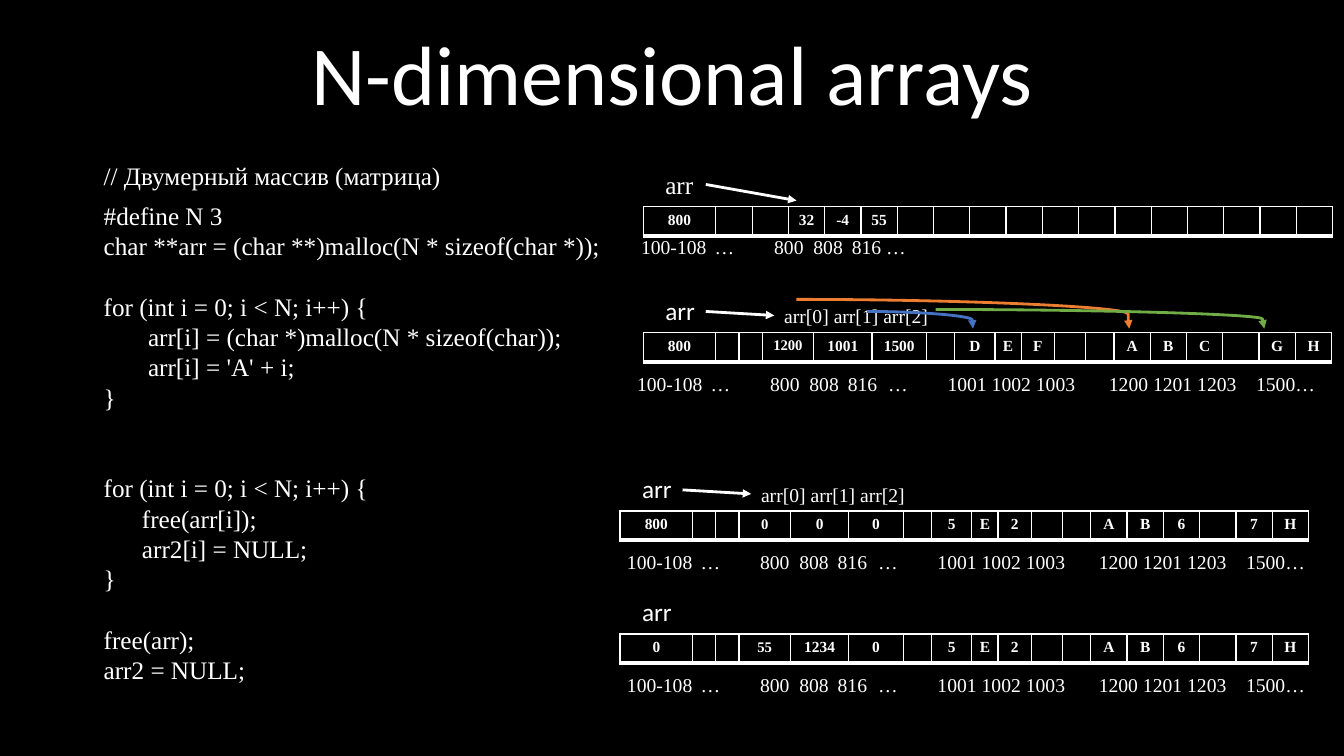
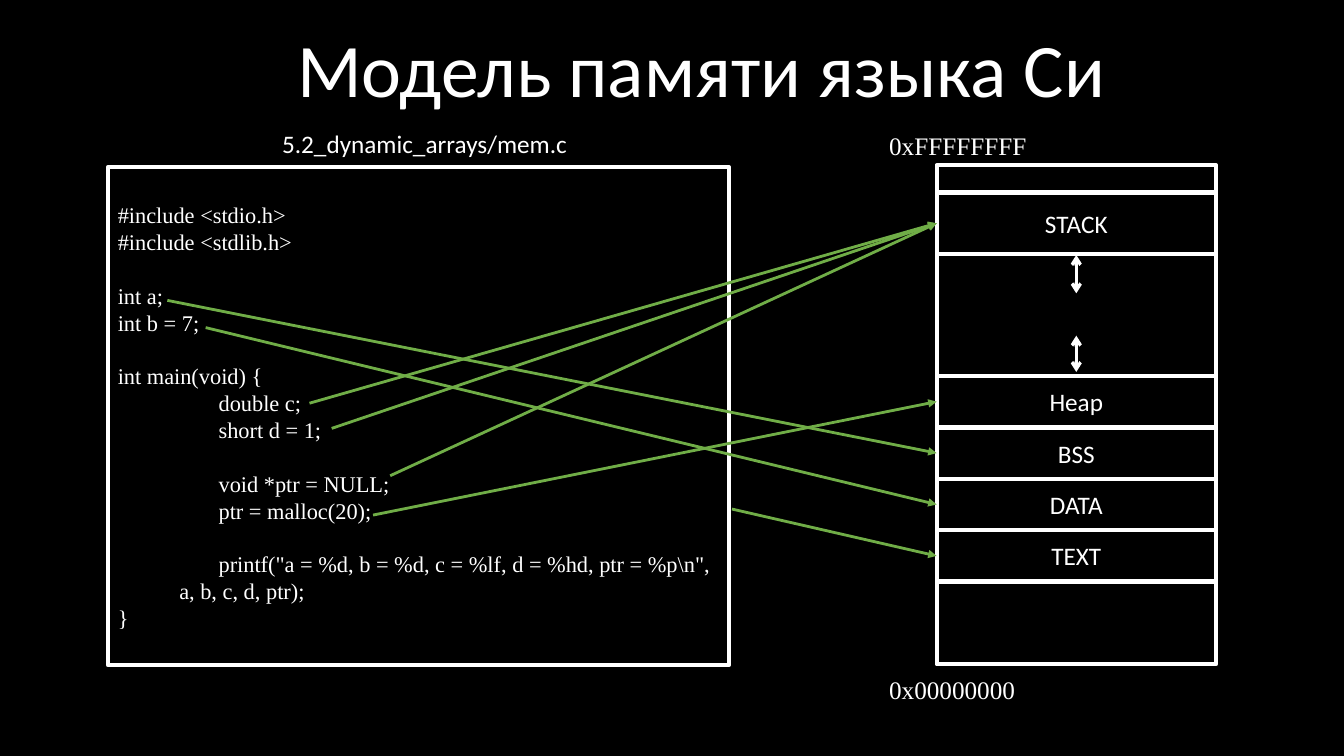
from collections import namedtuple
from dataclasses import dataclass

from lxml.etree import SubElement
from pptx import Presentation
from pptx.dml.color import RGBColor
from pptx.enum.shapes import MSO_CONNECTOR, MSO_SHAPE
from pptx.enum.text import MSO_ANCHOR, MSO_AUTO_SIZE, PP_ALIGN
from pptx.oxml.ns import qn
from pptx.util import Emu, Inches, Pt


@dataclass(frozen=True)
class Theme:
    background: str = "000000"
    ink: str = "FFFFFF"
    orange: str = "ED7D31"
    blue: str = "4472C4"
    green: str = "70AD47"
    sans: str = "Calibri"
    serif: str = "Times New Roman"
    body: float = 18
    code: float = 16
    small: float = 14
    cell: float = 11
    narrow_cell: float = 10.5
    line_height: float = 1.2
    arrow: float = 2
    outline: float = 3


THEME = Theme()
Box = namedtuple("Box", "left top width height")
# gap counts the empty lines left above the line
Line = namedtuple("Line", "text indent gap", defaults=(0, 0))

MATRIX_CODE = [
    Line("#define N 3"),
    Line("char **arr = (char **)malloc(N * sizeof(char *));"),
    Line("for (int i = 0; i < N; i++) {", gap=1),
    Line("arr[i] = (char *)malloc(N * sizeof(char));", 0.44),
    Line("arr[i] = 'A' + i;", 0.44),
    Line("}"),
    Line("for (int i = 0; i < N; i++) {", gap=2),
    Line("free(arr[i]);", 0.38),
    Line("arr2[i] = NULL;", 0.38),
    Line("}"),
    Line("free(arr);", gap=1),
    Line("arr2 = NULL;"),
]
MEMORY_CODE = [
    Line("#include <stdio.h>"),
    Line("#include <stdlib.h>"),
    Line("int a;", gap=1),
    Line("int b = 7;"),
    Line("int main(void) {", gap=1),
    Line("double c;", 1),
    Line("short d = 1;", 1),
    Line("void *ptr = NULL;", 1, 1),
    Line("ptr = malloc(20);", 1),
    Line('printf("a = %d, b = %d, c = %lf, d = %hd, ptr = %p\\n",', 1, 1),
    Line("a, b, c, d, ptr);", 0.61),
    Line("}"),
]

VECTOR_COLUMNS = [0.72] + [0.36] * 17
MATRIX_COLUMNS = [0.72, 0.23, 0.23, 0.51, 0.58, 0.54, 0.28, 0.4, 0.26,
                  0.33, 0.31, 0.28] + [0.36] * 6
ADDRESS_STOPS = [0.73, 1.32, 1.71, 2.09, 2.49, 3.08, 4.68, 6.14]
VECTOR_ADDRESSES = ["100-108", "…", "800", "808", "816 …"]
MATRIX_ADDRESSES = ["100-108", "…", "800", "808", "816", "…",
                    "1001 1002 1003", "1200 1201 1203", "1500…"]


def rgb(color):
    return RGBColor.from_string(color)


def inches(*lengths):
    return [Inches(length) for length in lengths]


def write(frame, lines, *, size=THEME.body, font=THEME.serif, bold=False,
          align=PP_ALIGN.LEFT, anchor=MSO_ANCHOR.TOP, spacing=None, stops=()):
    """Fill a text frame from a string or a list of Line records."""
    if isinstance(lines, str):
        lines = [Line(lines)]
    frame.word_wrap = True
    frame.auto_size = MSO_AUTO_SIZE.NONE
    frame.vertical_anchor = anchor
    for index, line in enumerate(lines):
        paragraph = frame.add_paragraph() if index else frame.paragraphs[0]
        paragraph.alignment = align
        if spacing:
            paragraph.line_spacing = spacing
        if line.gap:
            paragraph.space_before = Pt(line.gap * size * THEME.line_height)
        properties = paragraph._p.get_or_add_pPr()
        if line.indent:
            properties.set("marL", str(Inches(line.indent)))
            properties.set("indent", "0")
        if stops:
            tab_list = SubElement(properties, qn("a:tabLst"))
            for stop in stops:
                SubElement(tab_list, qn("a:tab"), pos=str(Inches(stop)), algn="l")
        run = paragraph.add_run()
        run.text = line.text
        run.font.size = Pt(size)
        run.font.name = font
        run.font.bold = bold
        run.font.color.rgb = rgb(THEME.ink)


def label(slide, box, lines, **style):
    write(slide.shapes.add_textbox(*inches(*box)).text_frame, lines, **style)


def arrow(slide, start, end, *, color=THEME.ink, width=THEME.arrow,
          head=None, tail="triangle", bend=None):
    """Draw an arrow; bend is the share of the width where a curve turns."""
    kind = MSO_CONNECTOR.STRAIGHT if bend is None else MSO_CONNECTOR.CURVE
    connector = slide.shapes.add_connector(kind, *inches(*start, *end))
    connector.line.color.rgb = rgb(color)
    connector.line.width = Pt(width)
    properties = connector._element.spPr
    outline = properties.find(qn("a:ln"))
    for tag, style in (("a:headEnd", head), ("a:tailEnd", tail)):
        if style:
            SubElement(outline, qn(tag), type=style)
    SubElement(properties, qn("a:effectLst"))
    if bend is not None:
        adjustments = properties.find(qn("a:prstGeom")).find(qn("a:avLst"))
        SubElement(adjustments, qn("a:gd"), name="adj1",
                   fmla=f"val {round(bend * 100000)}")
    return connector


def panel(slide, box, lines=None, **style):
    shape = slide.shapes.add_shape(MSO_SHAPE.RECTANGLE, *inches(*box))
    shape.shadow.inherit = False
    shape.fill.solid()
    shape.fill.fore_color.rgb = rgb(THEME.background)
    shape.line.color.rgb = rgb(THEME.ink)
    shape.line.width = Pt(THEME.outline)
    if lines:
        write(shape.text_frame, lines, anchor=MSO_ANCHOR.MIDDLE, **style)
    return shape


def titled_slide(deck, title, box, size):
    slide = deck.slides.add_slide(deck.slide_layouts[5])
    heading = slide.shapes.title
    heading.left, heading.top, heading.width, heading.height = inches(*box)
    write(heading.text_frame, title, size=size, font=THEME.sans,
          align=PP_ALIGN.CENTER, anchor=MSO_ANCHOR.BOTTOM, spacing=0.9)
    return slide


def format_cell(cell, text, size):
    cell.margin_left = cell.margin_right = Inches(0.03)
    if text:
        write(cell.text_frame, text, size=size, bold=True, align=PP_ALIGN.CENTER)
    else:
        SubElement(cell.text_frame.paragraphs[0]._p, qn("a:endParaRPr"),
                   sz=str(round(size * 100)))
    properties = cell._tc.get_or_add_tcPr()
    for side, width in (("L", 1), ("R", 1), ("T", 1), ("B", THEME.outline)):
        border = SubElement(properties, qn(f"a:ln{side}"), w=str(Pt(width)))
        fill = SubElement(border, qn("a:solidFill"))
        SubElement(fill, qn("a:srgbClr"), val=THEME.ink)
    cell.fill.solid()
    cell.fill.fore_color.rgb = rgb(THEME.background)


def memory_cells(slide, left, top, columns, values):
    """Draw one row of memory; values maps a column to its content."""
    frame = slide.shapes.add_table(1, len(columns),
                                   *inches(left, top, sum(columns), 0.28))
    table = frame.table
    table.first_row = table.horz_banding = False
    table.rows[0].height = Inches(0.28)
    for index, width in enumerate(columns):
        table.columns[index].width = Inches(width)
        narrow = columns is MATRIX_COLUMNS and index == 3
        format_cell(table.cell(0, index), values.get(index),
                    THEME.narrow_cell if narrow else THEME.cell)


def addresses(slide, left, top, names):
    label(slide, (left, top, 7, 0.34), "\t".join(names), size=THEME.small,
          stops=ADDRESS_STOPS[:len(names) - 1])


def vector_memory(slide, left, top):
    label(slide, (left + 0.12, top - 0.42, 0.6, 0.4), "arr")
    arrow(slide, (left + 0.62, top - 0.22), (left + 1.52, top - 0.06))
    memory_cells(slide, left, top, VECTOR_COLUMNS,
                 {0: "800", 3: "32", 4: "-4", 5: "55"})
    addresses(slide, left - 0.12, top + 0.23, VECTOR_ADDRESSES)


def matrix_memory(slide, left, top, values, *, address_shift=-0.03, pointer=True):
    memory_cells(slide, left, top, MATRIX_COLUMNS, values)
    addresses(slide, left + address_shift, top + 0.34, MATRIX_ADDRESSES)
    label(slide, (left + 0.12, top - 0.42, 0.6, 0.4), "arr", font=THEME.sans)
    if pointer:
        arrow(slide, (left + 0.62, top - 0.21), (left + 1.3, top - 0.17))
        label(slide, (left + 1.3, top - 0.33, 2.14, 0.34),
              "arr[0] arr[1] arr[2]", size=THEME.small)


def row_pointers(slide, left, top):
    """Link each arr[i] to the block of memory it points to."""
    for start, rise, end, color, bend in (
            (1.52, 0.33, 4.82, THEME.orange, 0.997),
            (2.22, 0.21, 3.27, THEME.blue, 0.994),
            (2.9, 0.23, 6.16, THEME.green, 0.995)):
        arrow(slide, (left + start, top - rise), (left + end, top - 0.04),
              color=color, bend=bend)


def arrays_slide(deck):
    slide = titled_slide(deck, "N-dimensional arrays",
                         Box(1.88, 0.27, 9.57, 1.01), 60)
    label(slide, (0.93, 1.54, 6.67, 0.4), "// Двумерный массив (матрица)")
    label(slide, (0.93, 1.94, 5.45, 4.95), MATRIX_CODE)
    vector_memory(slide, 6.38, 2.05)

    allocated = {0: "800", 3: "1200", 4: "1001", 5: "1500", 7: "D", 8: "E",
                 9: "F", 12: "A", 13: "B", 14: "C", 16: "G", 17: "H"}
    rows_freed = {**allocated, 3: "0", 4: "0", 5: "0", 7: "5", 9: "2",
                  14: "6", 16: "7"}
    all_freed = {**rows_freed, 0: "0", 3: "55", 4: "1234"}
    matrix_memory(slide, 6.38, 3.3, allocated, address_shift=-0.16)
    row_pointers(slide, 6.38, 3.3)
    matrix_memory(slide, 6.15, 5.07, rows_freed)
    matrix_memory(slide, 6.15, 6.29, all_freed, pointer=False)


def memory_map(slide, box):
    """Draw the address space and return its segments by name."""
    label(slide, (box.left - 0.57, box.top - 0.4, 1.7, 0.4), "0xFFFFFFFF")
    label(slide, (box.left - 0.57, box.top + box.height + 0.05, 1.7, 0.4),
          "0x00000000")
    panel(slide, box)
    rows = [("STACK", 0.27, 0.61)]
    rows += [(name, 2.09 + 0.51 * index, 0.51)
             for index, name in enumerate(("Heap", "BSS", "DATA", "TEXT"))]
    segments = {
        name: panel(slide, (box.left, box.top + offset, box.width, height), name,
                    font=THEME.sans, align=PP_ALIGN.CENTER)
        for name, offset, height in rows}
    center = box.left + box.width / 2
    for start, end in ((0.89, 1.27), (1.69, 2.05)):
        arrow(slide, (center, box.top + start), (center, box.top + end),
              width=2.25, head="arrow", tail="arrow")
    return segments


def memory_model_slide(deck):
    slide = titled_slide(deck, "Модель памяти языка Си",
                         Box(2.29, 0.17, 9.33, 1.01), 54)
    listing = Box(1.07, 1.66, 6.16, 4.94)
    label(slide, (listing.left + 1.63, listing.top - 0.44, 3.2, 0.4),
          "5.2_dynamic_arrays/mem.c", font=THEME.sans)
    panel(slide, listing, MEMORY_CODE, size=THEME.code)
    segments = memory_map(slide, Box(9.29, 1.64, 2.77, 4.95))
    for right, down, name in (
            (0.97, 1.59, "DATA"), (0.59, 1.32, "BSS"), (2, 2.34, "STACK"),
            (2.22, 2.59, "STACK"), (2.8, 3.06, "STACK"),
            (2.63, 3.45, "Heap"), (6.19, 3.39, "TEXT")):
        segment = segments[name]
        middle = Emu(segment.top + segment.height // 2)
        link = arrow(slide, (listing.left + right, listing.top + down),
                     (segment.left.inches, middle.inches), color=THEME.green)
        link.end_connect(segment, 1)


def main():
    deck = Presentation()
    deck.slide_width, deck.slide_height = inches(13.33, 7.5)
    backdrop = deck.slide_master.background.fill
    backdrop.solid()
    backdrop.fore_color.rgb = rgb(THEME.background)
    arrays_slide(deck)
    memory_model_slide(deck)
    deck.save("out.pptx")


if __name__ == "__main__":
    main()
